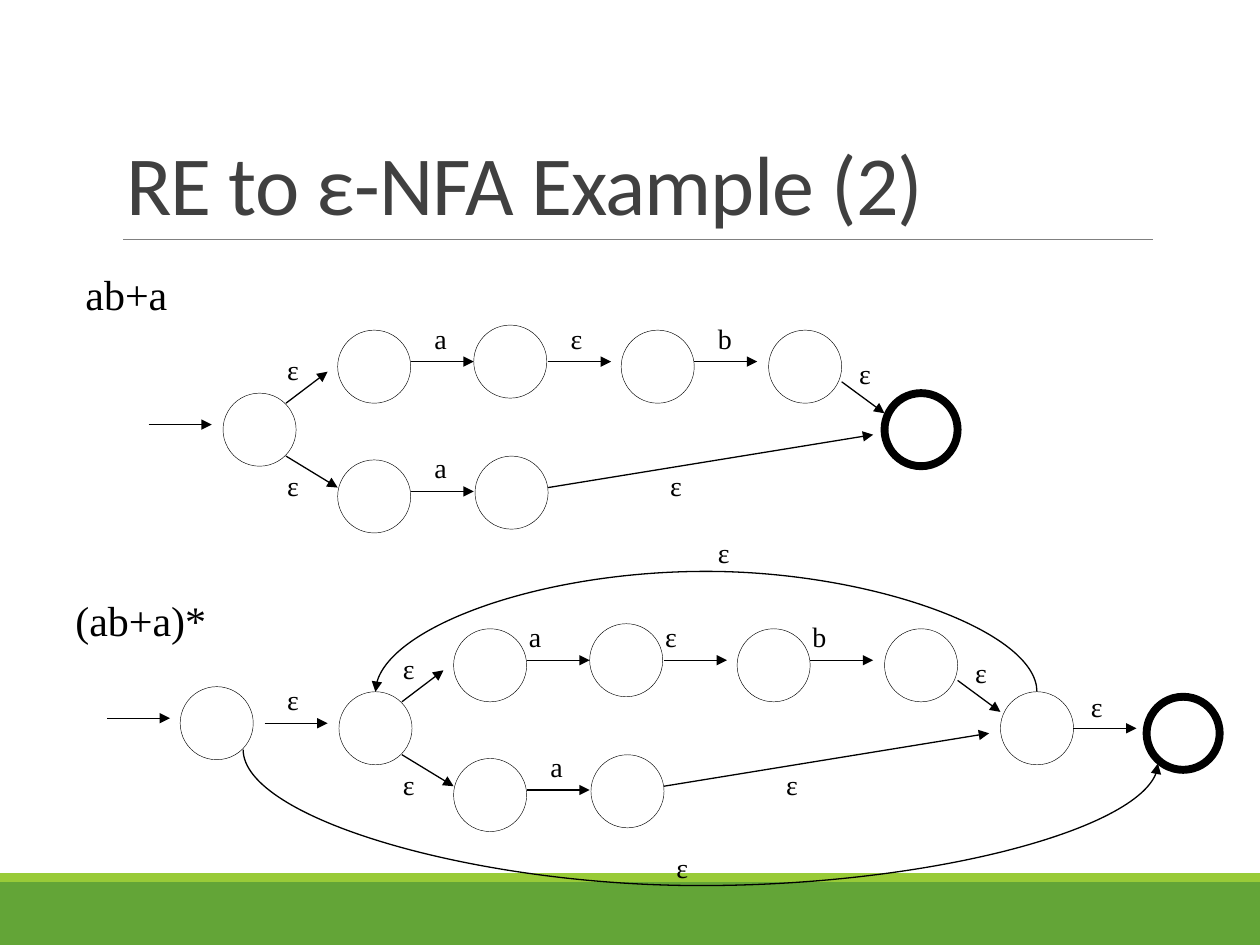
import pptx
import pptx.util
import pptx.dml.color
import pptx.enum.shapes
import pptx.enum.text
import pptx.oxml
import pptx.oxml.ns
from dataclasses import dataclass

Inches, Pt = pptx.util.Inches, pptx.util.Pt
SHAPE = pptx.enum.shapes.MSO_SHAPE
CONNECTOR = pptx.enum.shapes.MSO_CONNECTOR
TEXT = pptx.enum.text


@dataclass(frozen=True)
class Theme:
    """Colours, fonts and sizes of the slide."""
    ink: str = "000000"
    title_ink: str = "404040"
    rule: str = "808080"
    footer: str = "63A537"
    footer_edge: str = "99CB38"
    title_font: str = "Calibri"
    body_font: str = "Times New Roman"
    title_size: float = 48
    heading_size: float = 24
    label_size: float = 16
    arrow_line: float = 0.75
    rule_line: float = 0.5
    state_line: float = 0.25
    accept_line: float = 4.5


THEME = Theme()
STATE_SIZE = 0.58
TITLE = "RE to ε-NFA Example (2)"
HEADINGS = [("ab+a", 0.58, 2.08, 0.85), ("(ab+a)*", 0.5, 4.67, 1.24)]

# The automaton for ab+a, used once alone and once inside the star.
UNION_START, UNION_END = (1.77, 3.12), (7.02, 3.12)
UNION_STATES = [UNION_START, (2.68, 2.62), (3.76, 2.58), (4.93, 2.62),
                (6.1, 2.62), (2.68, 3.65), (3.77, 3.62)]
UNION_ARROWS = [(3.26, 2.87, 3.76, 2.87), (4.35, 2.87, 4.85, 2.87),
                (5.51, 2.87, 6.01, 2.87), (3.26, 3.9, 3.76, 3.9),
                (2.27, 3.2, 2.6, 2.95), (2.27, 3.62, 2.68, 3.87),
                (6.68, 3.03, 7.02, 3.28), (4.35, 3.87, 6.93, 3.45)]
UPPER_LABELS = [("a", 3.35, 2.5), ("ε", 4.43, 2.5), ("b", 5.6, 2.5)]
OTHER_LABELS = [("a", 3.35, 3.53), ("ε", 2.18, 2.75), ("ε", 2.18, 3.67),
                ("ε", 6.72, 2.78), ("ε", 5.22, 3.67)]
# Offset across, offset down, offset across of the upper labels, line of the end state
UNIONS = [(0, 0, 0, THEME.accept_line), (0.92, 2.37, 0.75, THEME.state_line)]

ENTRY_ARROW = (1.18, 3.37, 1.68, 3.37)
STAR_START, STAR_END = (1.43, 5.45), (9.1, 5.53)
STAR_ARROWS = [(0.85, 5.7, 1.35, 5.7), (2.1, 5.74, 2.6, 5.74),
               (8.52, 5.78, 9.02, 5.78)]
STAR_LABELS = [("ε", 2.18, 5.37), ("ε", 8.56, 5.42),
               ("ε", 5.6, 4.2), ("ε", 5.27, 6.7)]
# Start, end, and how far below the start the curve reaches
STAR_CURVES = [(8.23, 5.49, 2.98, 5.49, -0.97), (1.93, 5.95, 9.19, 6.06, 1.08)]


def apply(target, **values):
    """Set each named attribute of the target."""
    for name, value in values.items():
        setattr(target, name, value)


def color(value):
    """Turn a hex string into a colour."""
    return pptx.dml.color.RGBColor.from_string(value)


def write(frame, text, size, font, ink):
    """Put one formatted run in a text frame and return its paragraph and run."""
    paragraph = frame.paragraphs[0]
    run = paragraph.add_run()
    run.text = text
    apply(run.font, size=Pt(size), name=font)
    run.font.color.rgb = color(ink)
    return paragraph, run


def add_text(slide, text, left, top, width, height, size):
    """Add an unwrapped text box."""
    box = slide.shapes.add_textbox(*map(Inches, (left, top, width, height)))
    apply(box.text_frame, word_wrap=False,
          auto_size=TEXT.MSO_AUTO_SIZE.SHAPE_TO_FIT_TEXT)
    write(box.text_frame, text, size, THEME.body_font, THEME.ink)


def add_labels(slide, labels, across=0, down=0):
    """Add arrow labels, moved by an offset."""
    for text, left, top in labels:
        add_text(slide, text, left + across, top + down, 0.3, 0.37, THEME.label_size)


def add_state(slide, left, top, line_width=THEME.state_line):
    """Add one state circle."""
    state = slide.shapes.add_shape(
        SHAPE.OVAL, *map(Inches, (left, top, STATE_SIZE, STATE_SIZE)))
    state.shadow.inherit = False
    state.fill.background()
    state.line.color.rgb = color(THEME.ink)
    state.line.width = Pt(line_width)


def add_bar(slide, top, height, fill):
    """Add a footer bar across the slide."""
    bar = slide.shapes.add_shape(SHAPE.RECTANGLE, *map(Inches, (0, top, 10, height)))
    bar.shadow.inherit = False
    bar.fill.solid()
    bar.fill.fore_color.rgb = color(fill)
    bar.line.fill.background()


def add_line(slide, ends, ink=THEME.ink, width=THEME.arrow_line, head=True,
             kind=CONNECTOR.STRAIGHT):
    """Add a connector, with an arrowhead if asked."""
    line = slide.shapes.add_connector(kind, *map(Inches, ends))
    line.line.color.rgb = color(ink)
    line.line.width = Pt(width)
    if head:
        pptx.oxml.ns.qn("a:tailEnd")
        line.line._get_or_add_ln().append(
            pptx.oxml.parse_xml('<a:tailEnd %s type="triangle"/>'
                                % pptx.oxml.ns.nsdecls("a")))
    line._element.spPr.append(
        pptx.oxml.parse_xml("<a:effectLst %s/>" % pptx.oxml.ns.nsdecls("a")))
    return line


def add_curve(slide, x1, y1, x2, y2, drop):
    """Add a curved arrow turned a quarter, leaving its ends vertically."""
    width, height = max(abs(y2 - y1), 0.002), abs(x2 - x1)
    left, top = (x1 + x2 - width) / 2, (y1 + y2 - height) / 2
    curve = add_line(slide, (left, top, left + width, top + height),
                     kind=CONNECTOR.CURVE)
    properties = curve._element.spPr
    frame = properties.find(pptx.oxml.ns.qn("a:xfrm"))
    for name, value in {"rot": 270 * 60000, "flipH": 1, "flipV": int(x1 > x2)}.items():
        frame.set(name, str(value))
    geometry = properties.find(pptx.oxml.ns.qn("a:prstGeom"))
    for child in list(geometry):
        geometry.remove(child)
    geometry.append(pptx.oxml.parse_xml(
        '<a:avLst %s><a:gd name="adj1" fmla="val %d"/></a:avLst>'
        % (pptx.oxml.ns.nsdecls("a"), round(drop / width * 100000))))


def add_title(slide):
    """Place and format the title."""
    title = slide.shapes.title
    apply(title, left=Inches(0.9), top=Inches(0.31),
          width=Inches(8.25), height=Inches(1.59))
    apply(title.text_frame, word_wrap=True, auto_size=TEXT.MSO_AUTO_SIZE.NONE,
          vertical_anchor=TEXT.MSO_ANCHOR.BOTTOM)
    paragraph, run = write(title.text_frame, TITLE, THEME.title_size,
                           THEME.title_font, THEME.title_ink)
    apply(paragraph, alignment=TEXT.PP_ALIGN.LEFT, line_spacing=0.85)
    run.font._element.set("spc", "-50")


def add_union(slide, across, down, upper_across, end_line):
    """Draw the automaton for ab+a at an offset."""
    for left, top in UNION_STATES:
        add_state(slide, left + across, top + down)
    add_state(slide, UNION_END[0] + across, UNION_END[1] + down, end_line)
    for x1, y1, x2, y2 in UNION_ARROWS:
        add_line(slide, (x1 + across, y1 + down, x2 + across, y2 + down))
    add_labels(slide, UPPER_LABELS, upper_across, down)
    add_labels(slide, OTHER_LABELS, across, down)


presentation = pptx.Presentation()
apply(presentation, slide_width=Inches(10), slide_height=Inches(7.5))
slide = presentation.slides.add_slide(presentation.slide_layouts[5])
add_bar(slide, 7, 0.5, THEME.footer)
add_bar(slide, 6.93, 0.07, THEME.footer_edge)
add_line(slide, (0.98, 1.9, 9.15, 1.9), THEME.rule, THEME.rule_line, head=False)
add_title(slide)
for text, left, top, width in HEADINGS:
    add_text(slide, text, left, top, width, 0.5, THEME.heading_size)
for union in UNIONS:
    add_union(slide, *union)
add_state(slide, *STAR_START)
add_state(slide, *STAR_END, THEME.accept_line)
for ends in [ENTRY_ARROW, *STAR_ARROWS]:
    add_line(slide, ends)
for curve in STAR_CURVES:
    add_curve(slide, *curve)
add_labels(slide, STAR_LABELS)
presentation.save("out.pptx")
